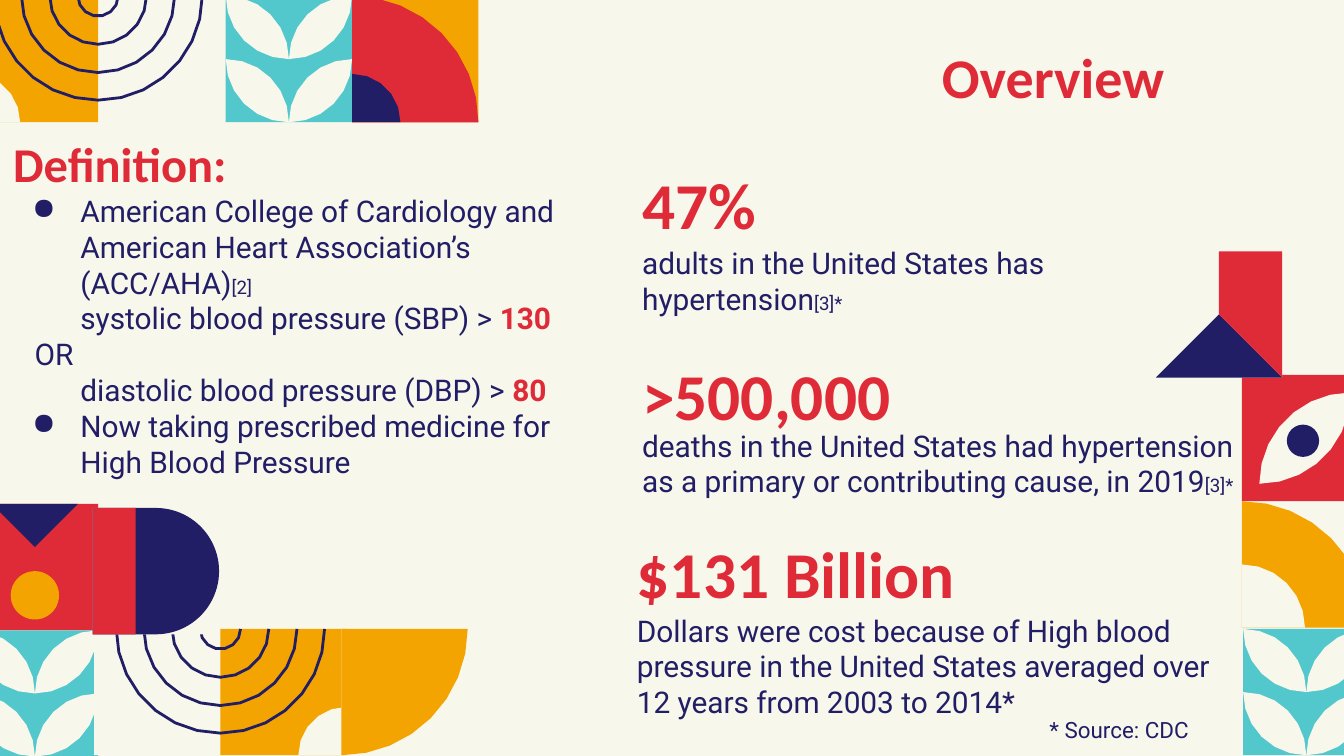
from math import acos, ceil, cos, degrees, radians, sin

from lxml.etree import SubElement
from pptx import Presentation
from pptx.dml.color import RGBColor
from pptx.enum.shapes import MSO_SHAPE
from pptx.enum.text import MSO_ANCHOR, PP_ALIGN
from pptx.oxml.ns import qn
from pptx.util import Inches, Pt

CREAM = RGBColor(0xF7, 0xF7, 0xEC)
TEAL = RGBColor(0x52, 0xC8, 0xCC)
RED = RGBColor(0xDF, 0x2A, 0x38)
ORANGE = RGBColor(0xF4, 0xA4, 0x00)
NAVY = RGBColor(0x21, 0x1E, 0x65)

# The grid has 100 columns and 56.25 rows; a pattern tile covers 9.4 of each
CELL = Inches(0.1)
COLUMNS, ROWS = 100, 56.25
TILE = 9.4
HALF = TILE / 2
TOLERANCE = 0.05


def grid(*cells):
    return [round(cell * CELL) for cell in cells]


def arc(x, y, radius, start, end):
    """Points on an arc around (x, y), as few as the tolerance allows."""
    widest = degrees(2 * acos(1 - TOLERANCE / radius))
    steps = ceil(abs(end - start) / widest)
    angles = [radians(start + (end - start) * i / steps) for i in range(steps + 1)]
    return [(x + radius * cos(a), y + radius * sin(a)) for a in angles]


def add_run(paragraph, text, size=16, font="Roboto", color=NAVY, bold=False):
    run = paragraph.add_run()
    run.text = text
    run.font.size = Pt(size)
    run.font.name = font
    run.font.bold = bold
    run.font.color.rgb = color


class SlideBuilder:
    heading = dict(font="Calibri", color=RED, bold=True)
    note = dict(size=10)
    value = dict(color=RED, bold=True)

    def __init__(self, presentation):
        self.slide = presentation.slides.add_slide(presentation.slide_layouts[6])
        self.shapes = self.slide.shapes
        fill = self.slide.background.fill
        fill.solid()
        fill.fore_color.rgb = CREAM

    # Basic shapes
    def paint(self, shape, color):
        shape.shadow.inherit = False
        shape.fill.solid()
        shape.fill.fore_color.rgb = color
        shape.line.fill.background()

    def preset(self, kind, x, y, width, height, color):
        self.paint(self.shapes.add_shape(kind, *grid(x, y, width, height)), color)

    def square(self, x, y, color):
        self.preset(MSO_SHAPE.RECTANGLE, x, y, TILE, TILE, color)

    def disc(self, x, y, radius, color):
        self.preset(MSO_SHAPE.OVAL, x - radius, y - radius, 2 * radius, 2 * radius, color)

    def freeform(self, points, close=True):
        first, *others = [grid(*point) for point in points]
        builder = self.shapes.build_freeform(*first, scale=1.0)
        builder.add_line_segments(others, close=close)
        return builder.convert_to_shape()

    def outline(self, points, color):
        self.paint(self.freeform(points), color)

    def half_ring(self, x, y, radius):
        shape = self.freeform(arc(x, y, radius, 0, 180), close=False)
        shape.shadow.inherit = False
        shape.fill.background()
        shape.line.color.rgb = NAVY
        shape.line.width = Pt(1.5)

    def quarter(self, x, y, radius, start, color):
        self.outline([(x, y)] + arc(x, y, radius, start, start + 90), color)

    def leaf(self, x, y, size, mirrored=False):
        points = arc(x + size, y, size, 180, 90) + arc(x, y + size, size, 0, -90)[1:-1]
        if mirrored:
            points = [(2 * x + size - px, py) for px, py in points]
        self.outline(points, CREAM)

    # Pattern tiles
    def leaf_tile(self, x, y):
        self.square(x, y, TEAL)
        for row in range(2):
            for column in range(2):
                self.leaf(x + column * HALF, y + row * HALF, HALF, column == 1)

    def ring_tile(self, x, y, side):
        """Half rings around (x, y); side is -1 for orange on the left, 1 on the right."""
        for direction, color in ((-side, CREAM), (side, ORANGE)):
            self.square(x if direction > 0 else x - TILE, y, color)
        self.quarter(x + side * TILE, y + TILE, 3.6, 180 if side > 0 else 270, CREAM)
        for radius in (7.75, 5.7, 3.6, 1.5):
            self.half_ring(x, y, radius)

    # Text
    def text(self, x, y, width, height, paragraphs, anchor=MSO_ANCHOR.MIDDLE,
             align=PP_ALIGN.LEFT, wrap=True, inset=1, top_inset=1):
        """Each paragraph is (runs, margin, indent, bullet); a run is (text, format)."""
        frame = self.shapes.add_textbox(*grid(x, y, width, height)).text_frame
        frame.word_wrap = wrap
        frame.vertical_anchor = anchor
        frame.margin_left = frame.margin_right = CELL
        frame.margin_top, frame.margin_bottom = grid(top_inset, inset)
        for index, (runs, margin, indent, bullet) in enumerate(paragraphs):
            paragraph = frame.add_paragraph() if index else frame.paragraphs[0]
            paragraph.alignment = align
            for text, style in runs:
                add_run(paragraph, text, **style)
            properties = paragraph._p.get_or_add_pPr()
            for name, cells in (("marL", margin), ("indent", indent)):
                properties.set(name, str(grid(cells)[0]))
            if bullet:
                color = SubElement(properties, qn("a:buClr"))
                SubElement(color, qn("a:srgbClr"), val=str(NAVY))
                SubElement(properties, qn("a:buChar"), char=bullet)

    def line(self, x, y, width, height, *runs, **options):
        self.text(x, y, width, height, [(runs, 0, 0, None)], **options)

    def title(self, x, y, width, height, text, size=35, **options):
        run = (text, dict(self.heading, size=size))
        self.line(x, y, width, height, run, **options)


def main():
    presentation = Presentation()
    presentation.slide_width, presentation.slide_height = grid(COLUMNS, ROWS)
    page = SlideBuilder(presentation)

    # Left edge: leaves, then a red tile with a dot and a triangle
    page.leaf_tile(-2.1, 46.9)
    page.square(-2.1, 37.5, RED)
    page.disc(2.6, 44.3, 1.8, ORANGE)
    page.outline([(-0.6, 37.5), (2.6, 40.7), (5.8, 37.5)], NAVY)

    # Right edge: leaves, orange arch, eye
    page.leaf_tile(92.5, 46.8)
    page.square(92.4, 37.3, CREAM)
    page.quarter(92.4, 46.7, TILE, 270, ORANGE)
    page.quarter(92.4, 46.7, HALF, 270, CREAM)
    page.square(92.4, 27.9, RED)
    page.leaf(93.7, 29.2, 6.8, mirrored=True)
    page.disc(96.95, 32.8, 1.2, NAVY)

    # Top edge: rings, leaves, red fan
    page.ring_tile(7.3, -0.3, -1)
    page.leaf_tile(16.8, -0.3)
    page.square(26.2, -0.3, ORANGE)
    page.quarter(26.2, 9.1, TILE, 270, RED)
    page.quarter(26.2, 9.1, 3.6, 270, NAVY)

    # Bottom edge: rings, orange fan, rounded bar
    page.ring_tile(16.4, 46.8, 1)
    page.square(25.4, 46.8, CREAM)
    page.quarter(25.4, 46.8, TILE, 0, ORANGE)
    page.square(6.9, 37.8, CREAM)
    page.preset(MSO_SHAPE.FLOWCHART_DELAY, 6.9, 37.8, TILE, TILE, NAVY)
    page.preset(MSO_SHAPE.RECTANGLE, 6.9, 37.8, 3.2, TILE, RED)

    # Red post and navy roof above the eye
    page.square(86, 18.7, CREAM)
    page.preset(MSO_SHAPE.ISOSCELES_TRIANGLE, 86, 23.4, TILE, HALF, NAVY)
    page.outline([(90.7, 18.7), (90.7, 23.4), (95.4, 28.1), (95.4, 18.7)], RED)

    # Key figures
    page.title(46.8, 12.4, 45.2, 5.5, "47%")
    page.line(46.8, 17.6, 45.2, 6.5,
              ("adults in the United States has hypertension", {}), ("[3]*", page.note))
    page.title(46.8, 26.6, 45.2, 5.5, ">500,000")
    page.line(46.8, 31.1, 48.7, 9.4,
              ("deaths in the United States had hypertension as a primary or "
               "contributing cause, in 2019", {}), ("[3]*", page.note),
              anchor=MSO_ANCHOR.TOP, top_inset=0.7)
    page.title(46.4, 39.8, 45.2, 5.5, "$131 Billion")
    page.line(46.4, 47.6, 45.2, 3.9,
              ("Dollars were cost because of High blood pressure in the United States "
               "averaged over 12 years from 2003 to 2014*", {}))
    page.title(3.4, 2.2, 84.2, 6.3, "Overview", size=30,
               anchor=MSO_ANCHOR.TOP, align=PP_ALIGN.RIGHT)

    # Definition
    page.text(0, 9, 46.4, 30.3, [
        ([("Definition:", dict(page.heading, size=26))], 0, 0, None),
        ([("American College of Cardiology and American Heart Association’s (ACC/AHA)", {}),
          ("[2]", page.note)], 5, -3.6, "●"),
        ([("systolic blood pressure (SBP) > ", {}), ("130", page.value)], 5, 0, None),
        ([("OR", {})], 1.6, 0, None),
        ([("diastolic blood pressure (DBP) > ", {}), ("80", page.value)], 0, 5, None),
        ([("Now taking prescribed medicine for", {})], 5, -3.6, "●"),
        ([("High Blood Pressure", {})], 5, 0, None),
    ], anchor=MSO_ANCHOR.TOP)

    # Source
    page.line(77.1, 52.8, 12.5, 5.4, ("* Source: CDC", dict(size=12)),
              anchor=MSO_ANCHOR.TOP, wrap=False, inset=0.5, top_inset=0.5)

    presentation.save("out.pptx")


if __name__ == "__main__":
    main()
